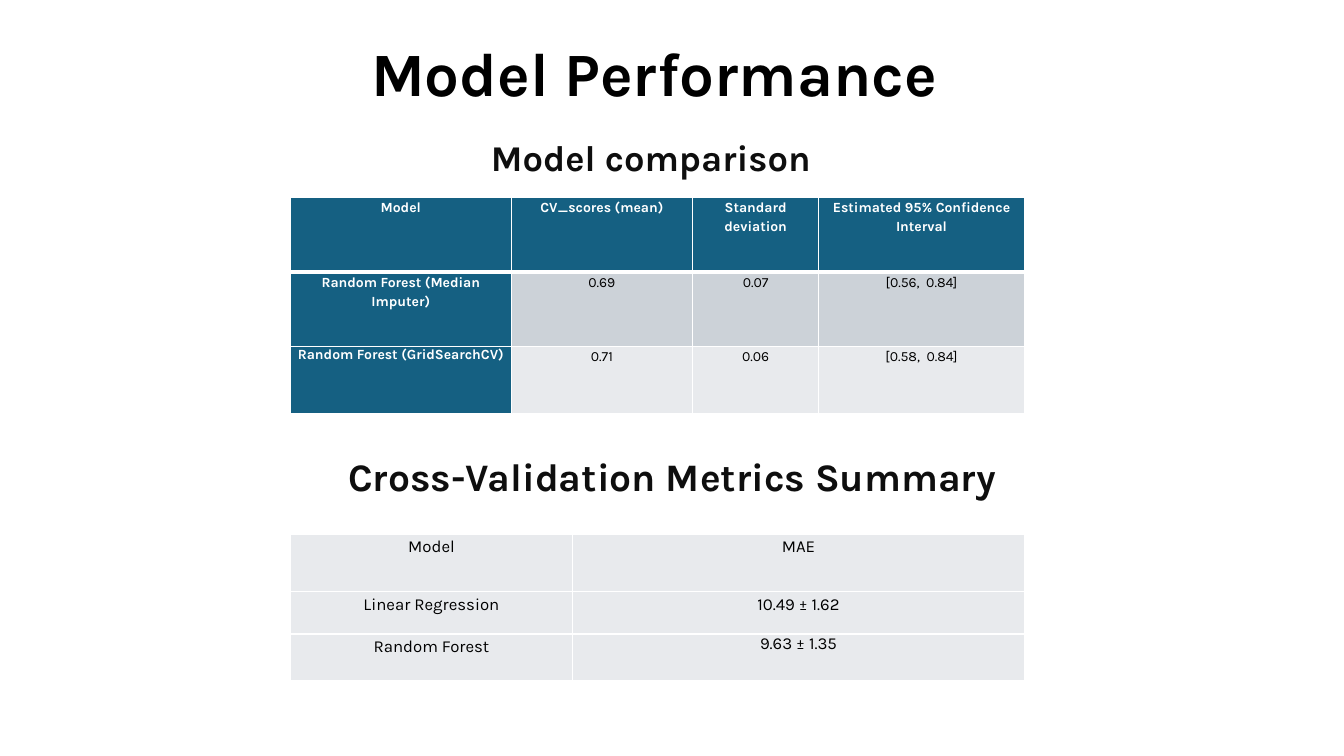
from lxml import etree
from pptx import Presentation
from pptx import util as u
from pptx.dml.color import RGBColor
from pptx.enum import text
from pptx.oxml import ns

FONT = "Karla"
BLACK = RGBColor(0x00, 0x00, 0x00)
INK = RGBColor(0x0E, 0x0E, 0x0E)
WHITE = RGBColor(0xFF, 0xFF, 0xFF)
TEAL = RGBColor(0x15, 0x60, 0x82)
GREY = RGBColor(0xCC, 0xD2, 0xD8)
PALE = RGBColor(0xE8, 0xEA, 0xED)

TABLE_LEFT = 2.88
COMPARISON_COLUMNS = [2.19, 1.8, 1.25, 2.04]
COMPARISON_ROWS = [0.74, 0.74, 0.66]
COMPARISON = [
    ["Model", "CV_scores (mean)", "Standard deviation", "Estimated 95% Confidence Interval"],
    ["Random Forest (Median Imputer)", "0.69", "0.07", "[0.56,  0.84]"],
    ["Random Forest (GridSearchCV)", "0.71", "0.06", "[0.58,  0.84]"],
]
METRICS_COLUMNS = [2.8, 4.48]
METRICS_ROWS = [0.57, 0.42, 0.46]
METRICS = [
    ["Model", "MAE"],
    ["Linear Regression", "10.49 ± 1.62"],
    ["Random Forest", "9.63 ± 1.35"],
]


def write(paragraph, words, size, color, bold):
    """Add one styled run to a paragraph."""
    run = paragraph.add_run()
    run.text = words
    run.font.name = FONT
    run.font.size = u.Pt(size)
    run.font.bold = bold
    run.font.color.rgb = color


def add_heading(slide, box, words, size, color, align, anchor, spacing):
    """Place a bold heading in the given box."""
    frame = slide.shapes.add_textbox(*map(u.Inches, box)).text_frame
    frame.word_wrap = True
    frame.vertical_anchor = anchor
    heading = frame.paragraphs[0]
    heading.alignment = align
    heading.line_spacing = spacing
    write(heading, words, size, color, True)


def rule_cell(cell, top, bottom):
    """Draw white rules around a cell, with top and bottom widths in points."""
    properties = cell._tc.get_or_add_tcPr()
    widths = {"a:lnL": 1, "a:lnR": 1, "a:lnT": top, "a:lnB": bottom}
    for place, (side, width) in enumerate(widths.items()):
        line = etree.Element(ns.qn(side), w=str(u.Pt(width)))
        fill = etree.SubElement(line, ns.qn("a:solidFill"))
        etree.SubElement(fill, ns.qn("a:srgbClr"), val=str(WHITE))
        properties.insert(place, line)


def add_grid(slide, left, top, columns, rows, values, size, style, tight, header_rule):
    """Place a table whose cell colours come from style(row, column)."""
    grid = slide.shapes.add_table(
        len(rows), len(columns), u.Inches(left), u.Inches(top),
        u.Inches(sum(columns)), u.Inches(sum(rows))).table
    for column, width in zip(grid.columns, columns):
        column.width = u.Inches(width)
    for r, height in enumerate(rows):
        grid.rows[r].height = u.Inches(height)
        for c, words in enumerate(values[r]):
            cell = grid.cell(r, c)
            fill, color, bold = style(r, c)
            cell.fill.solid()
            cell.fill.fore_color.rgb = fill
            cell.margin_left = cell.margin_right = u.Inches(0.07)
            cell.margin_top = cell.margin_bottom = 0
            rule_cell(cell, header_rule if r == 1 else 1, header_rule if r == 0 else 1)
            entry = cell.text_frame.paragraphs[0]
            entry.alignment = text.PP_ALIGN.CENTER
            if (r, c) != tight:
                entry.line_spacing = 1.15
                entry.space_after = u.Pt(8)
            write(entry, words, size, color, bold)


def comparison_style(r, c):
    """Return fill, text colour and weight for a model comparison cell."""
    if r == 0 or c == 0:
        return TEAL, WHITE, True
    return (GREY if r == 1 else PALE), BLACK, False


def metrics_style(r, c):
    """Return fill, text colour and weight for a metrics cell."""
    return PALE, BLACK, False


def build_performance(slide):
    """Place the title and both headed tables."""
    center, left = text.PP_ALIGN.CENTER, text.PP_ALIGN.LEFT
    top, middle = text.MSO_ANCHOR.TOP, text.MSO_ANCHOR.MIDDLE
    add_heading(slide, (0.74, 0.38, 11.5, 1.45), "Model Performance",
                44, BLACK, center, top, 0.9)
    add_grid(slide, TABLE_LEFT, 1.96, COMPARISON_COLUMNS, COMPARISON_ROWS,
             COMPARISON, 10, comparison_style, (2, 0), 3)
    add_grid(slide, TABLE_LEFT, 5.3, METRICS_COLUMNS, METRICS_ROWS,
             METRICS, 12, metrics_style, (2, 1), 1)
    add_heading(slide, (4.77, 0.89, 4.09, 1.45), "Model comparison",
                25.9, INK, left, middle, 0.7)
    add_heading(slide, (0.92, 4.57, 11.5, 1.45), "Cross-Validation Metrics Summary",
                27.8, INK, center, top, 0.7)


def main():
    """Build and save the slide."""
    deck = Presentation()
    deck.slide_width, deck.slide_height = u.Inches(13.33), u.Inches(7.5)
    build_performance(deck.slides.add_slide(deck.slide_layouts[6]))
    deck.save("out.pptx")


if __name__ == "__main__":
    main()
